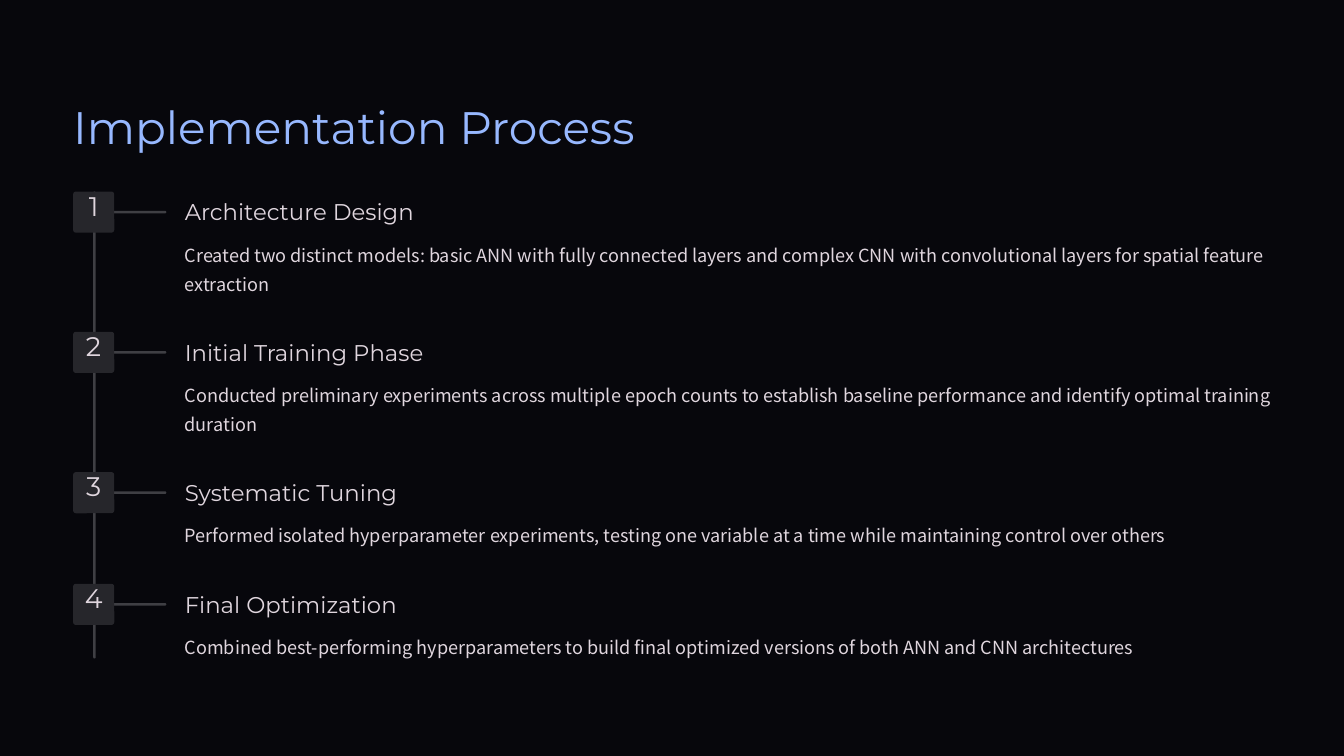
from pptx import Presentation
from pptx.dml.color import RGBColor
from pptx.enum.shapes import MSO_SHAPE
from pptx.enum.text import PP_ALIGN
from pptx.util import Inches, Pt

COLORS = {
    "background": "07070C",
    "title": "97B8FF",
    "text": "E0D6DE",
    "line": "3F3F44",
    "badge": "26262B",
}
STYLES = {
    "title": {"font": "Montserrat", "size": 39, "spacing": 48.5,
              "color": "title", "align": PP_ALIGN.LEFT, "wrap": False},
    "number": {"font": "Montserrat", "size": 23, "spacing": 23,
               "color": "text", "align": PP_ALIGN.CENTER, "wrap": False},
    "heading": {"font": "Montserrat", "size": 19.5, "spacing": 24,
                "color": "text", "align": PP_ALIGN.LEFT, "wrap": False},
    "body": {"font": "Noto Sans CJK TC", "size": 15.5, "spacing": 25,
             "color": "text", "align": PP_ALIGN.LEFT, "wrap": True},
}
# Heading, heading width, description, description height
STEPS = [
    ("Architecture Design", 2.79,
     "Created two distinct models: basic ANN with fully connected layers and "
     "complex CNN with convolutional layers for spatial feature extraction", 0.69),
    ("Initial Training Phase", 2.86,
     "Conducted preliminary experiments across multiple epoch counts to establish "
     "baseline performance and identify optimal training duration", 0.69),
    ("Systematic Tuning", 2.71,
     "Performed isolated hyperparameter experiments, testing one variable at a "
     "time while maintaining control over others", 0.35),
    ("Final Optimization", 2.71,
     "Combined best-performing hyperparameters to build final optimized versions "
     "of both ANN and CNN architectures", 0.35),
]
TOP = 2.28
TEXT_LEFT = 2.2
STEP_EXTRA = 0.98  # from one step to the next, beyond the description height

prs = Presentation()
prs.slide_width, prs.slide_height = Inches(16), Inches(9)
s = prs.slides.add_slide(prs.slide_layouts[6])
s.background.fill.solid()
s.background.fill.fore_color.rgb = RGBColor.from_string(COLORS["background"])


def add_block(left, top, width, height, color, rounding):
    sp = s.shapes.add_shape(MSO_SHAPE.ROUNDED_RECTANGLE, Inches(left), Inches(top),
                            Inches(width), Inches(height))
    sp.adjustments[0] = rounding
    sp.shadow.inherit = False
    sp.fill.solid()
    sp.fill.fore_color.rgb = RGBColor.from_string(COLORS[color])
    sp.line.fill.background()


def add_text(left, top, width, height, text, style):
    fmt = STYLES[style]
    tf = s.shapes.add_textbox(Inches(left), Inches(top),
                              Inches(width), Inches(height)).text_frame
    for side in ("left", "top", "right", "bottom"):
        setattr(tf, f"margin_{side}", 0)
    tf.word_wrap = fmt["wrap"]
    p = tf.paragraphs[0]
    p.alignment = fmt["align"]
    p.line_spacing = Pt(fmt["spacing"])
    r = p.add_run()
    r.text = text
    r.font.color.rgb = RGBColor.from_string(COLORS[fmt["color"]])
    for name, value in {"name": fmt["font"], "size": Pt(fmt["size"])}.items():
        setattr(r.font, name, value)


add_text(0.87, 1.16, 6.77, 0.68, "Implementation Process", "title")
add_block(1.11, TOP, 0.03, 5.56, "line", 0.5)

top = TOP
for number, (heading, heading_width, body, body_height) in enumerate(STEPS, 1):
    add_block(1.33, top + 0.23, 0.65, 0.03, "line", 0.5)
    add_block(0.87, top, 0.49, 0.49, "badge", 0.07)
    add_text(0.95, top + 0.04, 0.33, 0.41, str(number), "number")
    add_text(TEXT_LEFT, top + 0.07, heading_width, 0.34, heading, "heading")
    add_text(TEXT_LEFT, top + 0.54, 12.93, body_height, body, "body")
    top += body_height + STEP_EXTRA

prs.save("out.pptx")
